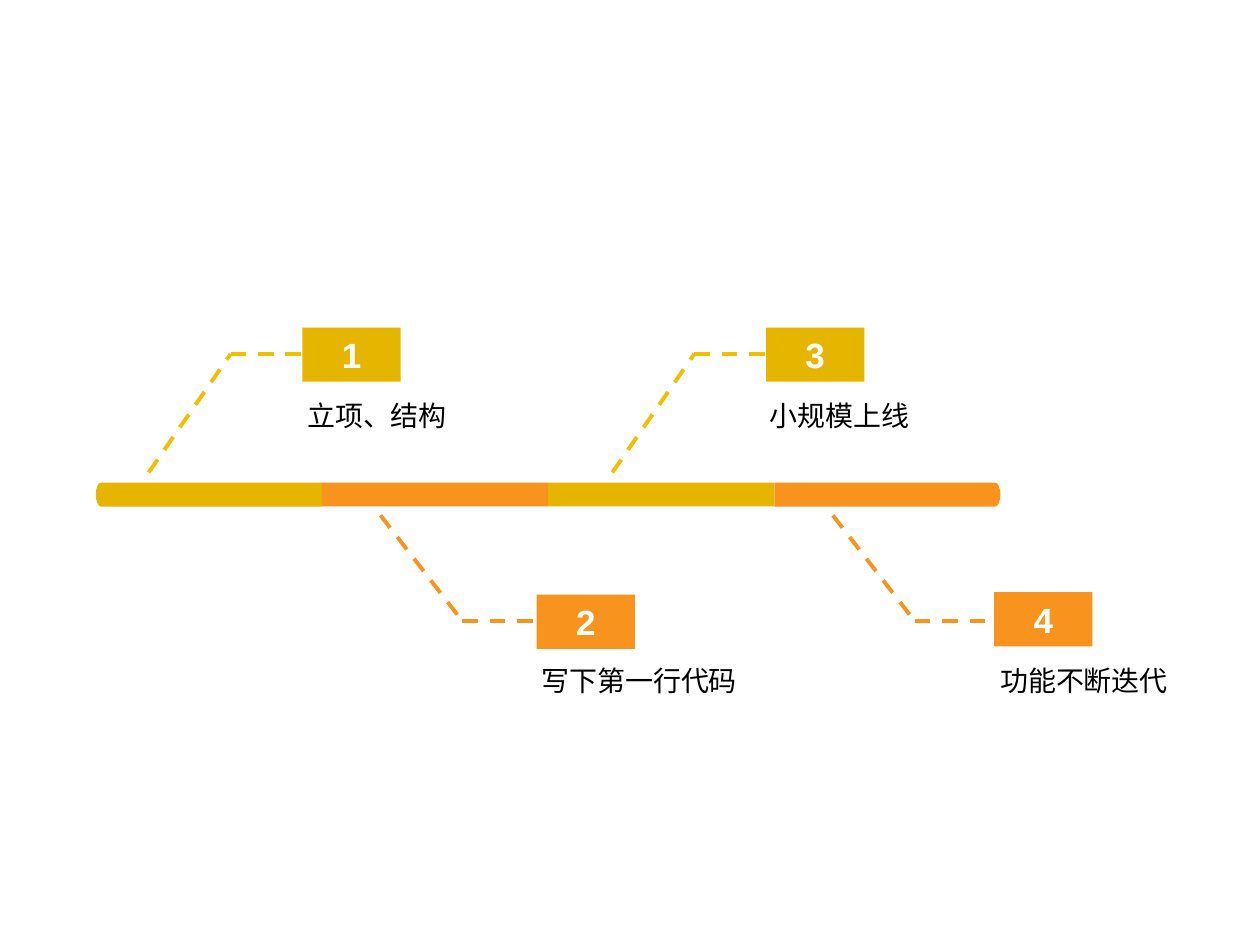
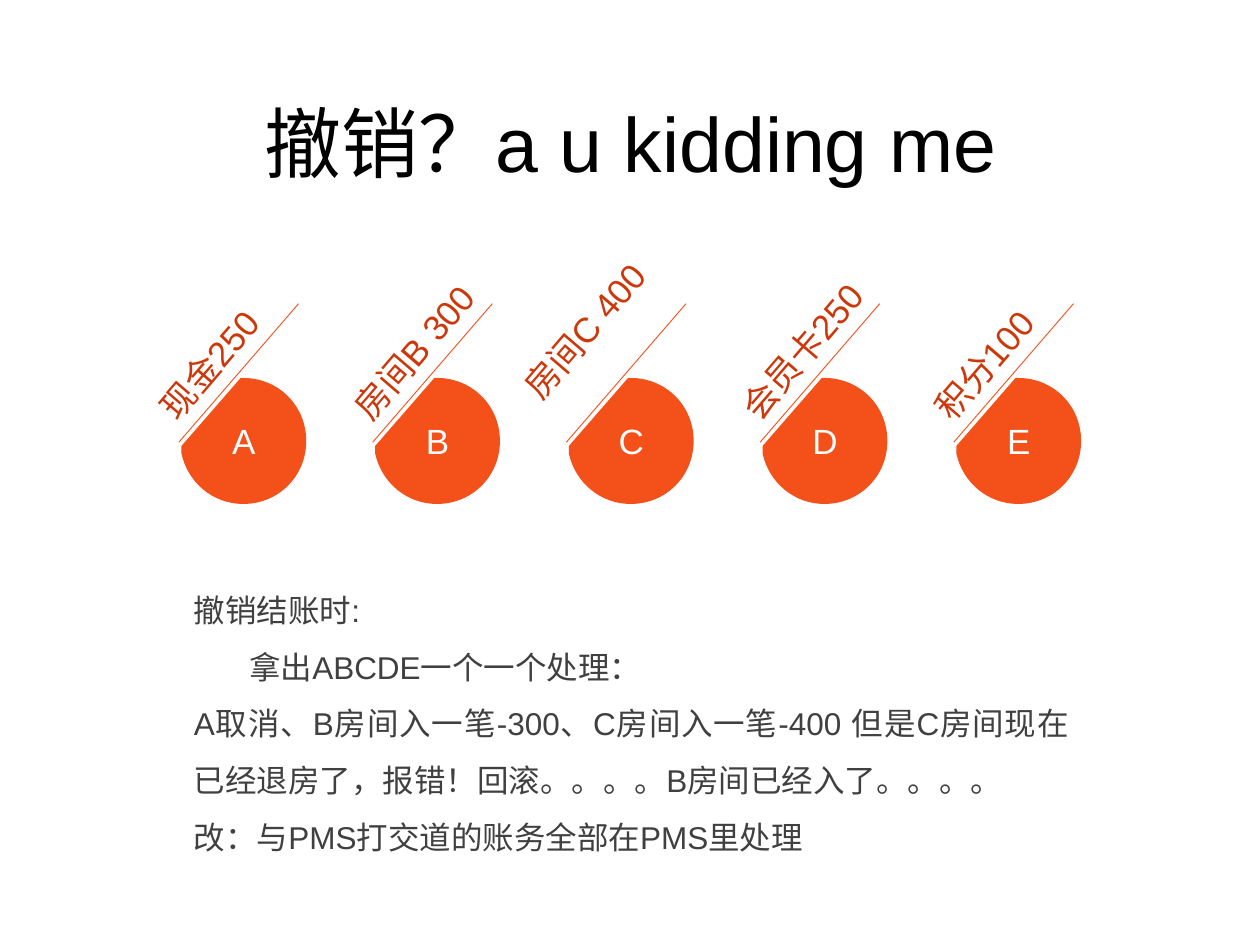
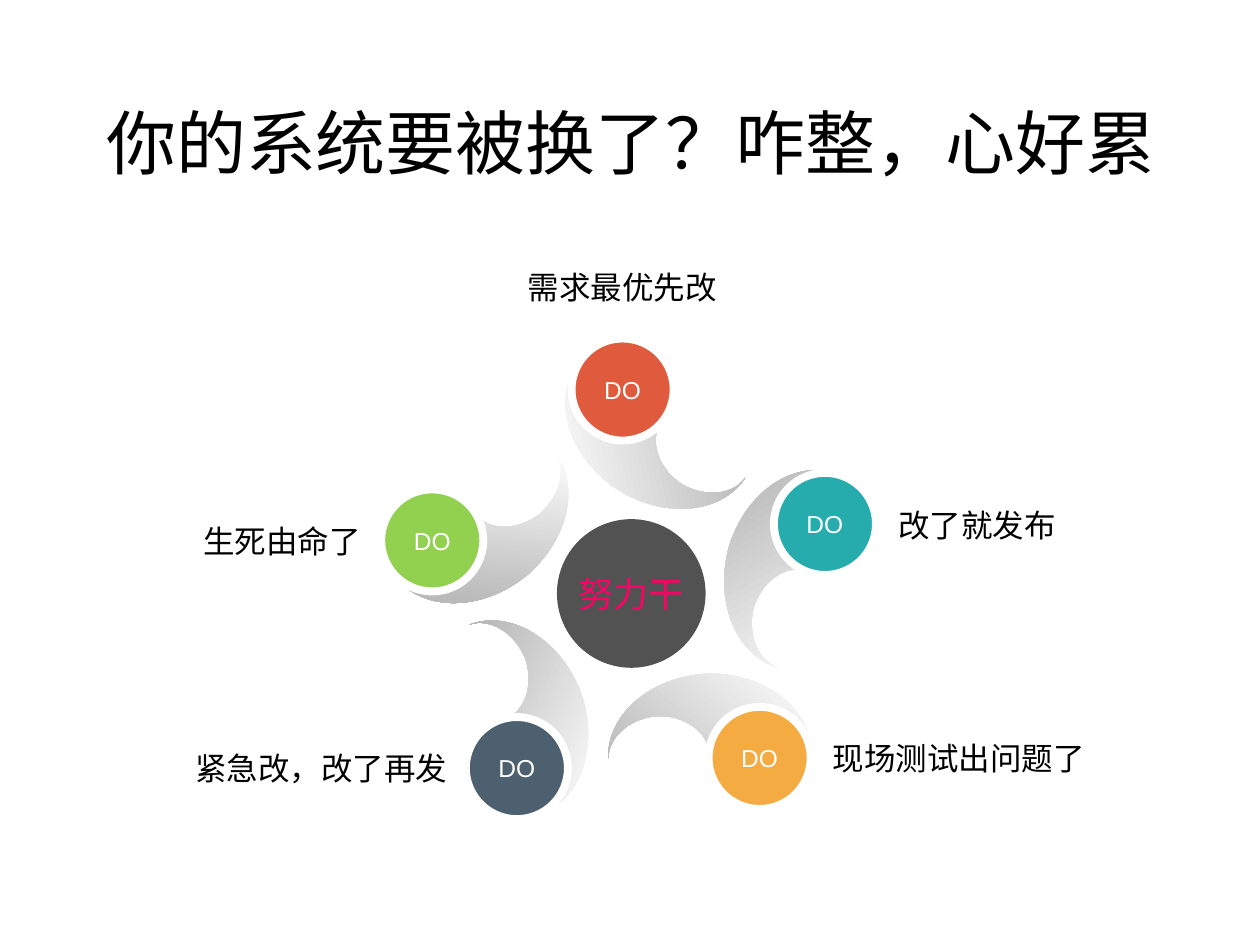
import math

from lxml import etree
from pptx import Presentation
from pptx.dml.color import RGBColor
from pptx.enum import dml, shapes, text
from pptx.oxml import ns
from pptx.util import Inches, Pt

# ---------- Shared style ----------
COLORS = {
    "gold": "E6B500", "gold_line": "F2BE00", "orange": "F8931D",
    "red": "F4501A", "red_line": "F34F1A", "red_text": "CC380A",
    "hub": "525252", "hub_text": "FF0066", "body": "404040",
    "black": "000000", "white": "FFFFFF", "shade": "B2B2B2",
    "teal": "26ACAD", "amber": "F4AB42", "slate": "4D606F",
    "green": "92D14F", "coral": "E05A3D",
}
LEFT, CENTER, RIGHT, JUSTIFY = (text.PP_ALIGN.LEFT, text.PP_ALIGN.CENTER,
                                text.PP_ALIGN.RIGHT, text.PP_ALIGN.JUSTIFY)
TOP, MIDDLE = text.MSO_ANCHOR.TOP, text.MSO_ANCHOR.MIDDLE
RECT, OVAL = shapes.MSO_SHAPE.RECTANGLE, shapes.MSO_SHAPE.OVAL

# ---------- Content ----------
# Timeline: number, label, badge left, badge top, line start x, label left
BAR = {"left": 0.76, "top": 3.83, "right": 7.94, "bottom": 4.02}
STEPS = [
    ("1", "立项、结构", 2.4, 2.6, 1.18, 2.34),
    ("2", "写下第一行代码", 4.26, 4.72, 3.02, 4.2),
    ("3", "小规模上线", 6.08, 2.6, 4.86, 6.01),
    ("4", "功能不断迭代", 7.89, 4.7, 6.61, 7.84),
]
# Start, bend and label heights, with line colour, above and below the bar
ABOVE = ("gold", "gold_line", 3.75, 2.81, 3.06)
BELOW = ("orange", "orange", 4.09, 4.93, 5.16)

# Payments: letter, label, label width, lift off the slanted line
UNDO_TITLE = "撤销？a u kidding me"
PAYMENTS = [
    ("A", "现金250", 1.44, 0),
    ("B", "房间B 300", 1.88, 0),
    ("C", "房间C 400", 1.88, 0.25),
    ("D", "会员卡250", 2.21, 0),
    ("E", "积分100", 1.44, 0),
]
UNDO_NOTES = [
    "撤销结账时:",
    "拿出ABCDE一个一个处理：",
    "A取消、B房间入一笔-300、C房间入一笔-400 但是C房间现在已经退房了，"
    "报错！回滚。。。。B房间已经入了。。。。",
    "改：与PMS打交道的账务全部在PMS里处理",
]
# Disc with a slanted cut, measured from the top left of its box
DISC = [(0.49, 0),
        [(0.77, 0), (0.99, 0.22), (0.99, 0.5)],
        [(0.99, 0.78), (0.77, 1), (0.49, 1)],
        [(0.25, 1), (0.05, 0.83), (0, 0.6)],
        (0, 0.54), (0.47, 0)]

# Wheel, clockwise from the right:
# colour, label, left, top, width, alignment, direction of the blade's shade
WHEEL_TITLE = "你的系统要被换了？咋整，心好累"
HUB = (5.01, 4.73)
WHEEL = [
    ("teal", "改了就发布", 7.03, 3.76, 2.25, LEFT, 120),
    ("amber", "现场测试出问题了", 6.51, 5.61, 2.25, LEFT, 228),
    ("slate", "紧急改，改了再发", 1.38, 5.69, 2.27, RIGHT, 156),
    ("green", "生死由命了", 0.69, 3.89, 2.27, RIGHT, 264),
    ("coral", "需求最优先改", 3.74, 1.87, 2.4, CENTER, 12),
]
# First blade of the wheel; the others are turned around the hub
BLADE = [(6.6, 3.75),
         [(6.27, 3.66), (5.9, 3.93), (5.78, 4.36)],
         [(5.67, 4.79), (5.85, 5.21), (6.18, 5.3)],
         [(6.02, 5.25), (5.93, 5.04), (5.98, 4.83)],
         [(6.04, 4.62), (6.23, 4.48), (6.39, 4.53)],
         [(6.56, 4.57), (6.75, 4.44), (6.8, 4.22)],
         [(6.86, 4.01), (6.77, 3.8), (6.6, 3.75)]]


# ---------- Helpers ----------
def rgb(name):
    return RGBColor.from_string(COLORS[name])


def write(sp, lines, size, color, align=LEFT, anchor=MIDDLE, spacing=None,
          bold=False, font="Arial", inset=True, wrap=True):
    tf = sp.text_frame
    tf.word_wrap = wrap
    tf.vertical_anchor = anchor
    tf.margin_left = tf.margin_right = Inches(0.1 if inset else 0)
    tf.margin_top = tf.margin_bottom = Inches(0.05 if inset else 0)
    for i, line in enumerate(lines):
        p = tf.add_paragraph() if i else tf.paragraphs[0]
        p.text = line
        p.alignment = align
        p._p.get_or_add_pPr().set("hangingPunct", "0")
        if spacing:
            p.line_spacing = spacing
        p.font.size, p.font.bold, p.font.name = Pt(size), bold, font
        p.font.color.rgb = rgb(color)


def add_box(slide, x, y, w, h, *args, **style):
    sp = slide.shapes.add_textbox(Inches(x), Inches(y), Inches(w), Inches(h))
    write(sp, *args, **style)
    return sp


def paint(sp, color):
    sp.shadow.inherit = False
    sp.line.fill.background()
    if color:
        sp.fill.solid()
        sp.fill.fore_color.rgb = rgb(color)
    return sp


def add_block(slide, kind, x, y, w, h, color):
    return paint(slide.shapes.add_shape(
        kind, Inches(x), Inches(y), Inches(w), Inches(h)), color)


def add_line(slide, start, end, color, width, dashed=False):
    ends = [Inches(v) for v in (*start, *end)]
    line = slide.shapes.add_connector(shapes.MSO_CONNECTOR.STRAIGHT, *ends)
    line.line.color.rgb = rgb(color)
    line.line.width = Pt(width)
    if dashed:
        line.line.dash_style = dml.MSO_LINE.DASH
    etree.SubElement(line._element.spPr, ns.qn("a:effectLst"))


def add_outline(slide, outline, color, move=lambda x, y: (x, y)):
    """Draw points as corners and lists of three points as cubic curves."""
    parts = [part if isinstance(part, list) else [part] for part in outline]
    points = [tuple(Inches(v) for v in move(*pt)) for part in parts for pt in part]
    builder = slide.shapes.build_freeform(*points[0])
    builder.add_line_segments(points[1:], close=True)
    sp = builder.convert_to_shape()
    # Join the three segments of each curve into one
    segments = iter(list(sp._element.iter(ns.qn("a:lnTo"))))
    for part in parts[1:]:
        group = [next(segments) for _ in part]
        if len(group) == 3:
            curve = etree.Element(ns.qn("a:cubicBezTo"))
            group[0].addprevious(curve)
            for segment in group:
                curve.append(segment[0])
                segment.getparent().remove(segment)
    return paint(sp, color)


def turn(x, y, degrees):
    """Turn a point clockwise around the hub."""
    a, dx, dy = math.radians(degrees), x - HUB[0], y - HUB[1]
    return (HUB[0] + dx * math.cos(a) - dy * math.sin(a),
            HUB[1] + dx * math.sin(a) + dy * math.cos(a))


def add_titled_slide(prs, title, size):
    slide = prs.slides.add_slide(prs.slide_layouts[5])
    sp = slide.shapes.title
    sp.left, sp.top, sp.width, sp.height = (Inches(v) for v in (0.69, 0.4, 8.63, 1.45))
    write(sp, [title], size, "black", CENTER)
    return slide


# ---------- Slides ----------
def build_timeline(prs):
    slide = prs.slides.add_slide(prs.slide_layouts[6])

    # Bar: two rounded ends and two middle segments
    left, top, right, bottom = BAR.values()
    seg, middle = (right - left) / 4, (top + bottom) / 2
    cap = [(left + seg, top), (left + seg, bottom), (left + 0.04, bottom),
           [(left + 0.02, bottom), (left, middle + 0.05), (left, middle)],
           [(left, middle - 0.05), (left + 0.02, top), (left + 0.04, top)]]
    add_outline(slide, cap, "gold")
    for i, color in ((2, "gold"), (1, "orange")):
        add_block(slide, RECT, left + i * seg, top, seg, bottom - top, color)
    add_outline(slide, cap, "orange", lambda x, y: (left + right - x, y))

    # Elbow lines, numbered badges and labels
    for i, (number, label, x, y, start_x, label_x) in enumerate(STEPS):
        color, line_color, start_y, bend_y, label_y = BELOW if i % 2 else ABOVE
        bend = (start_x + 0.65, bend_y)
        add_line(slide, (start_x, start_y), bend, line_color, 2.25, dashed=True)
        add_line(slide, bend, (bend[0] + 0.63, bend_y), line_color, 2.25, dashed=True)
        badge = add_block(slide, RECT, x, y, 0.78, 0.43, color)
        write(badge, [number], 20, "white", CENTER, bold=True)
        add_box(slide, label_x, label_y, 2.02, 0.75, [label], 16, "black",
                anchor=TOP, spacing=1.2, font="Noto Sans CJK SC")


def build_undo(prs):
    slide = add_titled_slide(prs, UNDO_TITLE, 44)
    first, last, top, angle, height = 1.44, 7.59, 3, 310.6, 0.61
    step = (last - first) / (len(PAYMENTS) - 1)
    cos, sin = math.cos(math.radians(angle)), math.sin(math.radians(angle))

    for i, (letter, label, width, lift) in enumerate(PAYMENTS):
        x = first + i * step
        disc = add_outline(slide, DISC, "red", lambda dx, dy: (x + dx, top + dy))
        write(disc, [letter], 20, "white", CENTER, inset=False)
        add_line(slide, (x - 0.02, 3.51), (x + 0.93, 2.41), "red_line", 0.5)
        # All labels start at the same point beside their disc
        mid_x = x - 0.24 + cos * width / 2 + sin * lift
        mid_y = top + 0.3 + sin * width / 2 - cos * lift
        box = add_box(slide, mid_x - width / 2, mid_y - height / 2, width, height,
                      [label], 20, "red_text", spacing=1.5)
        box.rotation = angle

    notes = add_box(slide, first, 4.49, 7.14, 2.42, UNDO_NOTES, 18, "body",
                    JUSTIFY, TOP, spacing=1.5)
    notes.text_frame.paragraphs[1]._p.get_or_add_pPr().set("indent", str(Inches(0.44)))


def build_wheel(prs):
    slide = add_titled_slide(prs, WHEEL_TITLE, 40)
    hub = add_block(slide, OVAL, 4.42, 4.12, 1.18, 1.18, "hub")
    write(hub, ["努力干"], 20, "hub_text", CENTER, inset=False)

    size, radius = 0.81, 1.64
    for i, (color, label, x, y, width, align, shade_angle) in enumerate(WHEEL):
        degrees = i * 360 / len(WHEEL)
        blade = add_outline(slide, BLADE, None, lambda px, py: turn(px, py, degrees))
        blade.fill.gradient()
        blade.fill.gradient_angle = shade_angle
        for stop, name, place in zip(blade.fill.gradient_stops, ("white", "shade"), (0, 1)):
            stop.color.rgb, stop.position = rgb(name), place

        cx, cy = turn(HUB[0] + radius, HUB[1], degrees - 20.4)
        dot = add_block(slide, OVAL, cx - size / 2, cy - size / 2, size, size, color)
        dot.line.color.rgb, dot.line.width = rgb("white"), Pt(4.5)
        write(dot, ["DO"], 14, "white", CENTER, inset=False, wrap=False)
        add_box(slide, x, y, width, 0.78, [label], 18, "black", align, spacing=1.1)


def main():
    prs = Presentation()
    prs.slide_width, prs.slide_height = Inches(10), Inches(7.5)
    build_timeline(prs)
    build_undo(prs)
    build_wheel(prs)
    prs.save("out.pptx")


if __name__ == "__main__":
    main()
